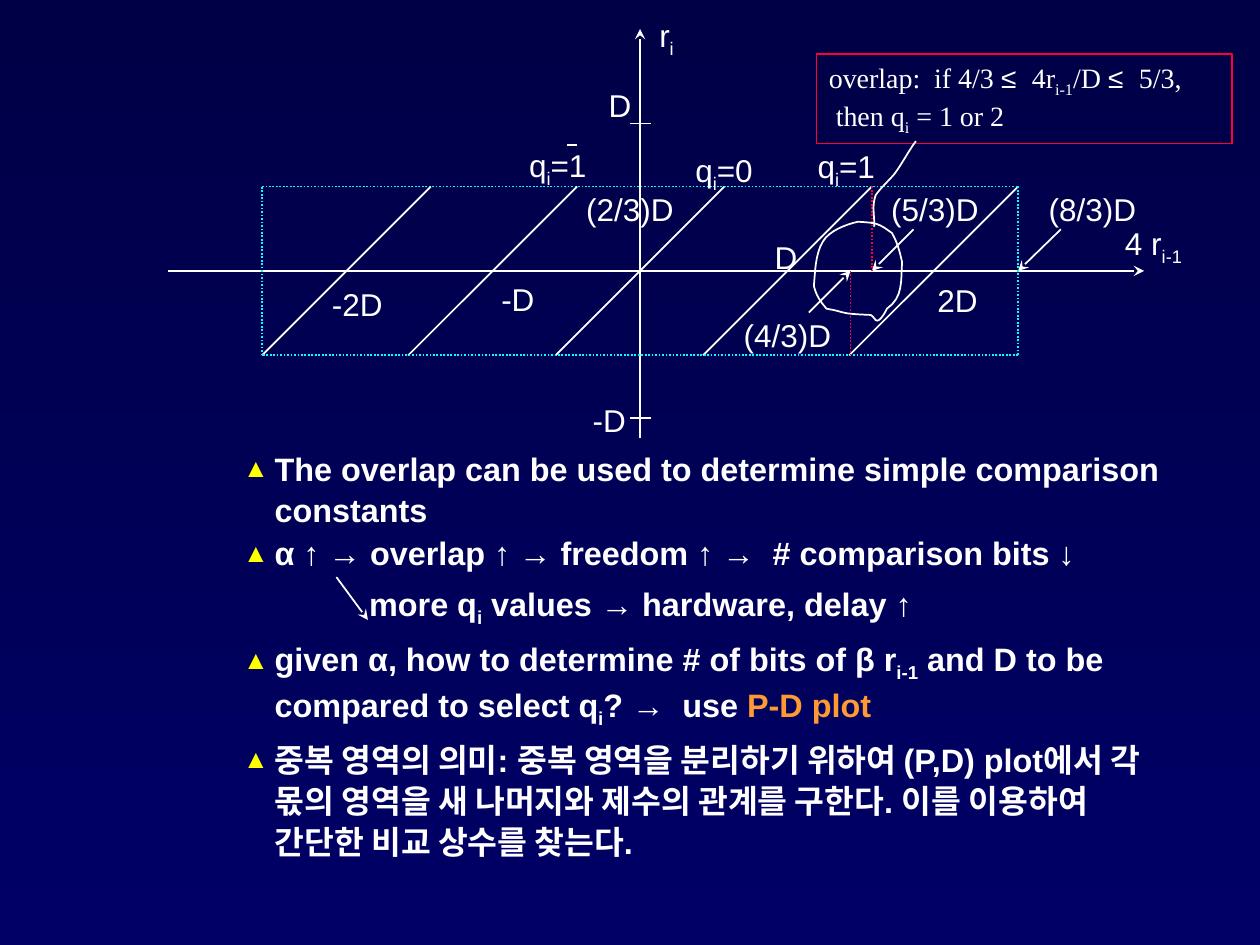
"""Build the slide on overlapping quotient regions and comparison constants."""
from dataclasses import dataclass
from itertools import pairwise

from lxml.etree import SubElement
from pptx import Presentation
from pptx.dml.color import RGBColor
from pptx.enum.dml import MSO_LINE
from pptx.enum.shapes import MSO_CONNECTOR, MSO_SHAPE
from pptx.enum.text import MSO_AUTO_SIZE, MSO_VERTICAL_ANCHOR, PP_ALIGN
from pptx.oxml.ns import qn
from pptx.slide import Slide
from pptx.util import Pt

SCALE = 9144
COLORS = {
    "top": "000046", "bottom": "000066", "white": "FFFFFF", "yellow": "FFFF00",
    "cyan": "00FFFF", "red": "FF0033", "orange": "FF9933",
}


def px(length):
    return round(length * SCALE)


def color(name):
    return RGBColor.from_string(COLORS[name])


def write(paragraph, text, size=18, font="Arial", fill="white", bold=False):
    for index, part in enumerate(text.split("~")):
        if not part:
            continue
        run = paragraph.add_run()
        run.text = part
        run.font.size = Pt(size)
        run.font.name = font
        run.font.bold = bold
        run.font.color.rgb = color(fill)
        if index % 2:
            run.font._element.set("baseline", "-25000")


def bezier(start, first, second, end, steps=8):
    for step in range(1, steps + 1):
        t = step / steps
        weights = ((1 - t) ** 3, 3 * t * (1 - t) ** 2, 3 * t * t * (1 - t), t ** 3)
        yield tuple(
            sum(weight * value for weight, value in zip(weights, axis))
            for axis in zip(start, first, second, end)
        )


@dataclass
class Canvas:
    slide: Slide
    line_width: int = 1

    def background(self):
        fill = self.slide.background.fill
        fill.gradient()
        fill.gradient_angle = 270
        for stop, name in zip(fill.gradient_stops, ("top", "bottom")):
            stop.color.rgb = color(name)

    def outline(self, line, name):
        line.color.rgb = color(name)
        line.width = Pt(self.line_width)

    def line(self, start, end, stroke="white", dotted=False, arrow=False):
        connector = self.slide.shapes.add_connector(
            MSO_CONNECTOR.STRAIGHT, *map(px, (*start, *end))
        )
        self.outline(connector.line, stroke)
        if dotted:
            connector.line.dash_style = MSO_LINE.ROUND_DOT
        if arrow:
            SubElement(connector.line._get_or_add_ln(), qn("a:tailEnd"), type="stealth")
        SubElement(connector._element.spPr, qn("a:effectLst"))

    def label(self, text, left, top, width, height=40, wrap=True, centered=False):
        shape = self.slide.shapes.add_textbox(*map(px, (left, top, width, height)))
        frame = shape.text_frame
        frame.word_wrap = wrap
        frame.auto_size = MSO_AUTO_SIZE.SHAPE_TO_FIT_TEXT
        paragraph = frame.paragraphs[0]
        paragraph.alignment = PP_ALIGN.CENTER if centered else PP_ALIGN.LEFT
        write(paragraph, text)

    def callout(self, left, top, width, height, lines):
        shape = self.slide.shapes.add_shape(
            MSO_SHAPE.RECTANGLE, *map(px, (left, top, width, height))
        )
        shape.shadow.inherit = False
        shape.fill.background()
        self.outline(shape.line, "red")
        frame = shape.text_frame
        frame.word_wrap = True
        frame.vertical_anchor = MSO_VERTICAL_ANCHOR.TOP
        for index, runs in enumerate(lines):
            paragraph = frame.add_paragraph() if index else frame.paragraphs[0]
            paragraph.alignment = PP_ALIGN.LEFT
            for text, font in runs:
                write(paragraph, text, size=16, font=font)

    def curve(self, start, segments, closed=False):
        points = []
        current = start
        for first, second, end in segments:
            points.extend(bezier(current, first, second, end))
            current = end
        builder = self.slide.shapes.build_freeform(*map(px, start))
        builder.add_line_segments([(px(x), px(y)) for x, y in points], close=closed)
        shape = builder.convert_to_shape()
        shape.shadow.inherit = False
        shape.fill.background()
        self.outline(shape.line, "white")

    def body(self, left, top, width, height, items):
        shape = self.slide.placeholders[1]
        shape.left, shape.top, shape.width, shape.height = map(px, (left, top, width, height))
        frame = shape.text_frame
        frame.auto_size = MSO_AUTO_SIZE.NONE
        for index, (runs, spacing, margin, bullet) in enumerate(items):
            paragraph = frame.add_paragraph() if index else frame.paragraphs[0]
            paragraph.level = 2
            properties = paragraph._p.get_or_add_pPr()
            properties.set("marL", str(px(margin)))
            properties.set("indent", str(px(-25 if bullet else 0)))
            if bullet:
                bullet_color = SubElement(properties, qn("a:buClr"))
                SubElement(bullet_color, qn("a:srgbClr"), val=COLORS["yellow"])
                SubElement(properties, qn("a:buSzPct"), val="80000")
                SubElement(properties, qn("a:buFont"), typeface="Arial")
                SubElement(properties, qn("a:buChar"), char="▲")
            else:
                SubElement(properties, qn("a:buNone"))
            paragraph.line_spacing = spacing
            paragraph.space_before = Pt(5 if index else 0)
            for text, fill in runs:
                write(paragraph, text, size=18.5, fill=fill, bold=True)


def main():
    presentation = Presentation()
    presentation.slide_width, presentation.slide_height = px(1000), px(750)
    slide = presentation.slides.add_slide(presentation.slide_layouts[1])
    title = slide.shapes.title._element
    title.getparent().remove(title)
    canvas = Canvas(slide)
    canvas.background()

    canvas.body(83, 350, 850, 375, [
        ([("The overlap can be used to determine simple comparison constants", "white")],
         1.05, 125, True),
        ([("α ↑ → overlap ↑ → freedom ↑ →  # comparison bits ↓", "white")], 0.9, 125, True),
        ([("more q~i~ values → hardware, delay ↑", "white")], 1.05, 200, False),
        ([("given α, how to determine # of bits of β r~i-1~ and D to be compared "
           "to select q~i~? →  use ", "white"), ("P-D plot", "orange")], 1.05, 125, True),
        ([("중복 영역의 의미: 중복 영역을 분리하기 위하여 (P,D) plot에서 각 몫의 영역을 "
           "새 나머지와 제수의 관계를 구한다. 이를 이용하여 간단한 비교 상수를 찾는다.",
           "white")], 1.05, 125, True),
    ])

    left, right, top, axis, bottom, center = 208, 808, 148, 215, 282, 508
    for start, end in (
        ((267, 458), (292, 492)), ((center, 348), (center, 23)), ((133, axis), (908, axis)),
        ((842, 182), (right, axis)), ((725, 182), (692, axis)), ((642, 248), (675, axis)),
    ):
        canvas.line(start, end, arrow=True)
    for tick in (98, 332):
        canvas.line((500, tick), (517, tick))
    canvas.line((450, 115), (458, 115))
    for index in range(-2, 3):
        crossing = round(center + index * 350 / 3)
        canvas.line((crossing - 67, bottom), (crossing, axis))
        canvas.line((crossing, axis), (crossing + 67, top))

    corners = [(left, top), (right, top), (right, bottom), (left, bottom), (left, top)]
    for start, end in pairwise(corners):
        canvas.line(start, end, stroke="cyan", dotted=True)
    canvas.line((692, top), (692, axis), stroke="red", dotted=True)
    canvas.line((675, axis), (675, bottom), stroke="red", dotted=True)

    for text, x, y, width in (
        ("4 r~i-1~", 883, 173, 92), ("q~i~=1", 639, 112, 77),
        ("q~i~=0", 542, 115, 67), ("q~i~=1", 410, 111, 81),
    ):
        canvas.label(text, x, y, width, height=44)
    canvas.label("2D", 734, 218, 52)
    canvas.label("r~i~", 492, 8, 74, height=44, centered=True)
    canvas.label("-D", 380, 217, 62, centered=True)
    canvas.label("D", 605, 184, 34, centered=True)
    for text, x, y, width in (
        ("-2D", 253, 221, 61), ("D", 473, 63, 38), ("-D", 460, 313, 47),
        ("(8/3)D", 822, 146, 90), ("(2/3)D", 455, 146, 90),
        ("(5/3)D", 697, 146, 90), ("(4/3)D", 580, 246, 90),
    ):
        canvas.label(text, x, y, width, wrap=False, centered=True)

    serif = "Times New Roman"
    canvas.callout(648, 43, 330, 71, [
        [("overlap:  if 4/3 ", serif), ("≤  ", "Arial"), ("4r~i-1~/D ", serif),
         ("≤  ", "Arial"), ("5/3,", serif)],
        [(" then q~i~ = 1 or 2", serif)],
    ])
    canvas.curve((691, 250), [
        ((665, 249), (673, 248), (656, 245)), ((651, 239), (648, 235), (646, 227)),
        ((647, 216), (647, 202), (653, 192)), ((658, 183), (672, 178), (681, 176)),
        ((696, 177), (697, 177), (708, 185)), ((712, 192), (714, 199), (716, 208)),
        ((715, 223), (717, 236), (704, 245)), ((703, 247), (698, 257), (695, 254)),
        ((694, 253), (693, 251), (691, 250)),
    ], closed=True)
    canvas.curve((727, 112), [
        ((721, 120), (716, 130), (710, 138)), ((705, 144), (699, 149), (695, 155)),
        ((692, 164), (694, 169), (694, 180)),
    ])
    presentation.save("out.pptx")


if __name__ == "__main__":
    main()
